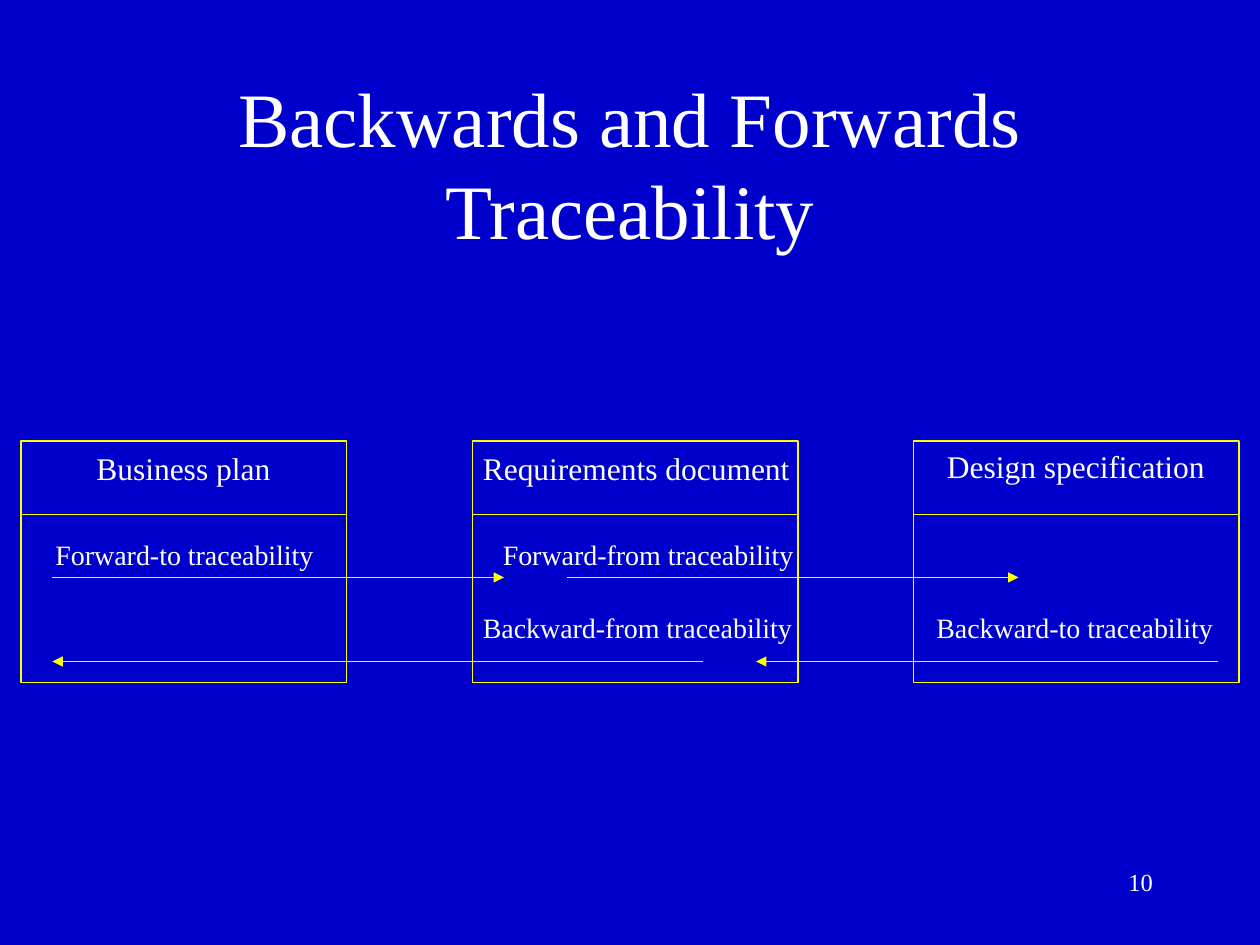
from typing import NamedTuple

from pptx import Presentation
from pptx import util as u
from pptx.dml.color import RGBColor
from pptx.enum import shapes, text
from pptx.oxml.ns import qn
from lxml import etree

BLUE = RGBColor(0x00, 0x00, 0xCC)
YELLOW = RGBColor(0xFF, 0xFF, 0x00)
WHITE = RGBColor(0xFF, 0xFF, 0xFF)
FONT = "Times New Roman"

# Grid: 12 columns and 12 rows to the inch
COLUMNS, ROWS = 120, 90
CARD_TOP, CARD_WIDTH, CARD_HEIGHT, HEADER = 42, 31, 23, 7
FORWARD_ROW, BACKWARD_ROW = 55, 63


class Label(NamedTuple):
    wording: str
    left: float
    top: float
    width: float
    height: float
    size: int


class Arrow(NamedTuple):
    start: float
    end: float
    row: float


CARD_LEFTS = (2, 45, 87)
LABELS = (
    Label("Business plan", 8, 42.2, 19, 4.8, 18),
    Label("Requirements document", 44.8, 42.2, 32, 4.8, 18),
    Label("Design specification", 89, 42, 27, 4.8, 18),
    Label("Forward-to traceability", 4.1, 50.6, 27, 4.4, 16),
    Label("Forward-from traceability", 46.7, 50.6, 30.4, 4.4, 16),
    Label("Backward-from traceability", 44.8, 57.6, 32.3, 4.4, 16),
    Label("Backward-to traceability", 88, 57.6, 29.1, 4.4, 16),
)
ARROWS = (
    Arrow(5, 48, FORWARD_ROW),
    Arrow(54, 97, FORWARD_ROW),
    Arrow(116, 72, BACKWARD_ROW),
    Arrow(67, 5, BACKWARD_ROW),
)


def cells(*counts: float) -> list[int]:
    return [u.Inches(count / 12) for count in counts]


def write(box, wording: str, *, size: int, align=text.PP_ALIGN.LEFT,
          anchor=text.MSO_ANCHOR.TOP, wrap: bool = True,
          fit=text.MSO_AUTO_SIZE.NONE) -> None:
    frame = box.text_frame
    frame.word_wrap, frame.auto_size = wrap, fit
    frame.vertical_anchor = anchor
    para = frame.paragraphs[0]
    para.alignment = align
    span = para.add_run()
    span.text = wording
    span.font.name, span.font.size = FONT, u.Pt(size)
    span.font.color.rgb = WHITE


def draw_line(parent, start: tuple, end: tuple, width: float):
    line = parent.add_connector(shapes.MSO_CONNECTOR.STRAIGHT,
                                *cells(*start, *end))
    line.line.color.rgb = YELLOW
    line.line.width = u.Pt(width)
    etree.SubElement(line._element.spPr, qn("a:effectLst"))
    return line


def draw_card(page, left: float) -> None:
    group = page.shapes.add_group_shape()
    frame = group.shapes.add_shape(
        shapes.MSO_SHAPE.RECTANGLE,
        *cells(left, CARD_TOP, CARD_WIDTH, CARD_HEIGHT))
    frame.shadow.inherit = False
    frame.fill.background()
    frame.line.color.rgb = YELLOW
    frame.line.width = u.Pt(0.75)
    divider = CARD_TOP + HEADER
    draw_line(group.shapes, (left, divider), (left + CARD_WIDTH, divider), 0.75)


def draw_label(page, label: Label) -> None:
    box = page.shapes.add_textbox(
        *cells(label.left, label.top, label.width, label.height))
    write(box, label.wording, size=label.size, wrap=False,
          fit=text.MSO_AUTO_SIZE.SHAPE_TO_FIT_TEXT)


def draw_arrow(page, arrow: Arrow) -> None:
    line = draw_line(page.shapes, (arrow.start, arrow.row),
                     (arrow.end, arrow.row), 1)
    etree.SubElement(line.line._get_or_add_ln(), qn("a:tailEnd"),
                     type="triangle")


def main() -> None:
    deck = Presentation()
    deck.slide_width, deck.slide_height = cells(COLUMNS, ROWS)
    page = deck.slides.add_slide(deck.slide_layouts[5])
    page.background.fill.solid()
    page.background.fill.fore_color.rgb = BLUE

    # Title
    title = page.shapes.title
    title.left, title.top, title.width, title.height = cells(9, 8, 102, 15)
    write(title, "Backwards and Forwards Traceability", size=44,
          align=text.PP_ALIGN.CENTER, anchor=text.MSO_ANCHOR.MIDDLE)

    # Documents and the traces between them
    for left in CARD_LEFTS:
        draw_card(page, left)
    for label in LABELS:
        draw_label(page, label)
    for arrow in ARROWS:
        draw_arrow(page, arrow)

    # Page number
    number = page.shapes.add_textbox(*cells(86, 82, 25, 6))
    write(number, "10", size=14, align=text.PP_ALIGN.RIGHT)

    deck.save("out.pptx")


if __name__ == "__main__":
    main()
